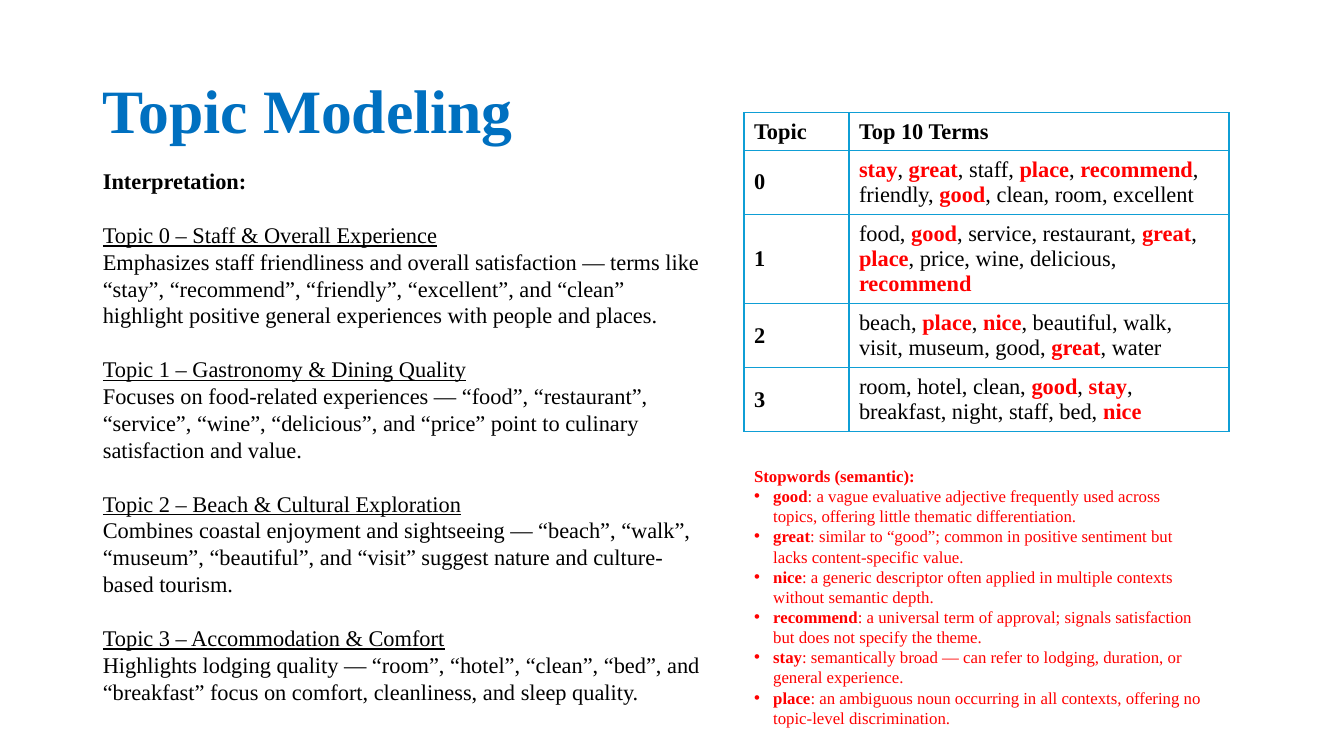
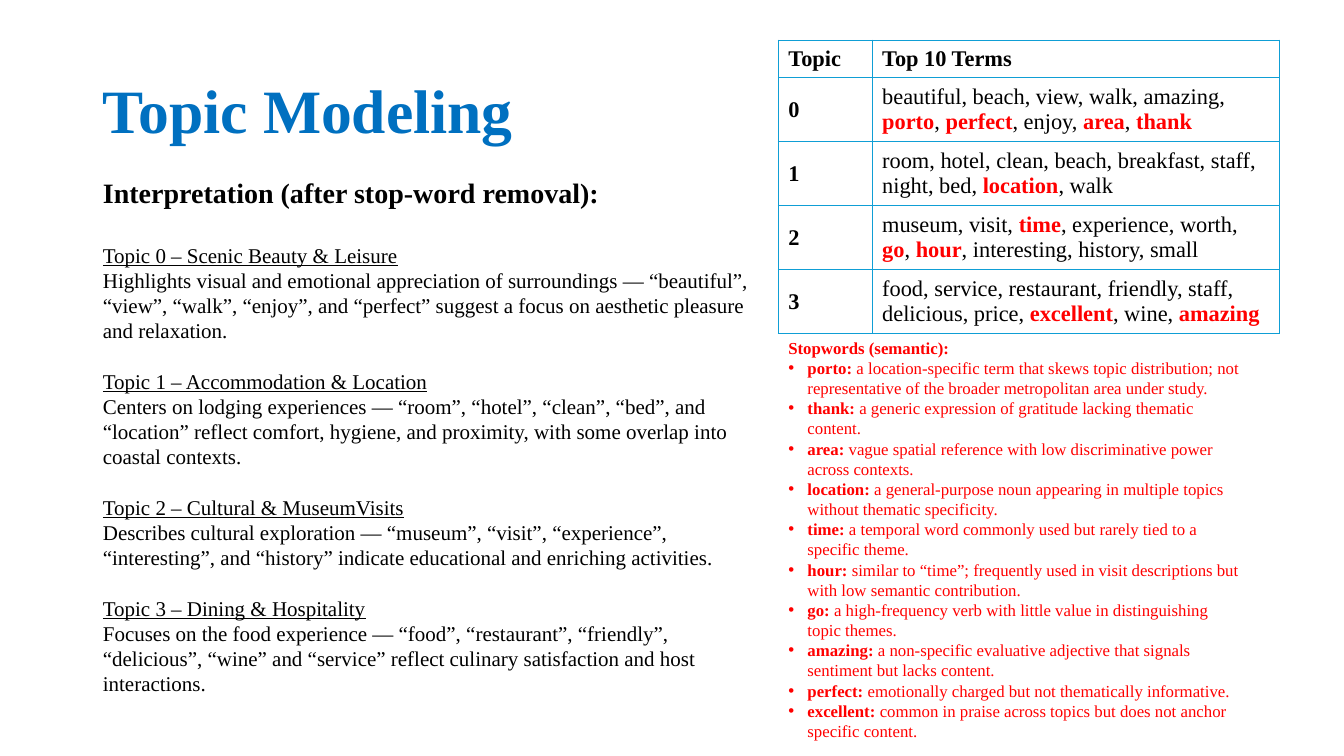
"""Build two slides on topic modeling, before and after stop-word removal."""
import lxml.etree
import pptx
import pptx.dml.color
import pptx.enum.text
import pptx.oxml.ns
import pptx.util

Inches = pptx.util.Inches
Pt = pptx.util.Pt
ANCHOR = pptx.enum.text.MSO_ANCHOR
FONT = "Times New Roman"
BLUE, BLACK, RED, BORDER = "0070C0", "000000", "FF0000", "0F9ED5"
TITLE = "Topic Modeling"
TITLE_AREA = (0.92, 0.4, 11.5, 1.45)
TABLE_HEADER = ("Topic", "Top 10 Terms")
HEADER_HEIGHT, LINE_HEIGHT, ROW_PADDING = 0.37, 0.255, 0.125
INDENT = 0.19
LEADING = 1.2

SLIDES = [
    {
        "heading": "Interpretation:",
        "heading_size": 16,
        "topic_size": 16,
        "topics_area": (0.92, 1.58, 6.23, 5.49),
        "topics": [
            ("Topic 0 – Staff & Overall Experience",
             "Emphasizes staff friendliness and overall satisfaction — terms like “stay”, “recommend”, “friendly”, "
             "“excellent”, and “clean” highlight positive general experiences with people and places."),
            ("Topic 1 – Gastronomy & Dining Quality",
             "Focuses on food-related experiences — “food”, “restaurant”, “service”, “wine”, “delicious”, and "
             "“price” point to culinary satisfaction and value."),
            ("Topic 2 – Beach & Cultural Exploration",
             "Combines coastal enjoyment and sightseeing — “beach”, “walk”, “museum”, “beautiful”, and “visit” "
             "suggest nature and culture-based tourism."),
            ("Topic 3 – Accommodation & Comfort",
             "Highlights lodging quality — “room”, “hotel”, “clean”, “bed”, and “breakfast” focus on comfort, "
             "cleanliness, and sleep quality."),
        ],
        "table_corner": (7.38, 1.12),
        "columns": (1.04, 3.77),
        "terms": [
            (2, "*stay*, *great*, staff, *place*, *recommend*, friendly, *good*, clean, room, excellent"),
            (3, "food, *good*, service, restaurant, *great*, *place*, price, wine, delicious, *recommend*"),
            (2, "beach, *place*, *nice*, beautiful, walk, visit, museum, good, *great*, water"),
            (2, "room, hotel, clean, *good*, *stay*, breakfast, night, staff, bed, *nice*"),
        ],
        "stopwords_area": (7.38, 4.57, 4.68, 2.73),
        "stopwords": [
            "*good*: a vague evaluative adjective frequently used across topics, offering little thematic "
            "differentiation.",
            "*great*: similar to “good”; common in positive sentiment but lacks content-specific value.",
            "*nice*: a generic descriptor often applied in multiple contexts without semantic depth.",
            "*recommend*: a universal term of approval; signals satisfaction but does not specify the theme.",
            "*stay*: semantically broad — can refer to lodging, duration, or general experience.",
            "*place*: an ambiguous noun occurring in all contexts, offering no topic-level discrimination.",
        ],
    },
    {
        "heading": "Interpretation (after stop-word removal):",
        "heading_size": 20,
        "topic_size": 15,
        "topics_area": (0.92, 1.66, 6.81, 5.32),
        "topics": [
            ("Topic 0 – Scenic Beauty & Leisure",
             "Highlights visual and emotional appreciation of surroundings — “beautiful”, “view”, “walk”, “enjoy”, "
             "and “perfect” suggest a focus on aesthetic pleasure and relaxation."),
            ("Topic 1 – Accommodation & Location",
             "Centers on lodging experiences — “room”, “hotel”, “clean”, “bed”, and “location” reflect comfort, "
             "hygiene, and proximity, with some overlap into coastal contexts."),
            ("Topic 2 – Cultural & MuseumVisits",
             "Describes cultural exploration — “museum”, “visit”, “experience”, “interesting”, and “history” "
             "indicate educational and enriching activities."),
            ("Topic 3 – Dining & Hospitality",
             "Focuses on the food experience — “food”, “restaurant”, “friendly”, “delicious”, “wine” and “service” "
             "reflect culinary satisfaction and host interactions."),
        ],
        "table_corner": (7.72, 0.4),
        "columns": (0.93, 4.04),
        "terms": [
            (2, "beautiful, beach, view, walk, amazing, *porto*, *perfect*, enjoy, *area*, *thank*"),
            (2, "room, hotel, clean, beach, breakfast, staff, night, bed, *location*, walk"),
            (2, "museum, visit, *time*, experience, worth, *go*, *hour*, interesting, history, small"),
            (2, "food, service, restaurant, friendly, staff, delicious, price, *excellent*, wine, *amazing*"),
        ],
        "stopwords_area": (7.72, 3.3, 4.68, 4.14),
        "stopwords": [
            "*porto:* a location-specific term that skews topic distribution; not representative of the broader "
            "metropolitan area under study.",
            "*thank:* a generic expression of gratitude lacking thematic content.",
            "*area:* vague spatial reference with low discriminative power across contexts.",
            "*location:* a general-purpose noun appearing in multiple topics without thematic specificity.",
            "*time:* a temporal word commonly used but rarely tied to a specific theme.",
            "*hour:* similar to “time”; frequently used in visit descriptions but with low semantic contribution.",
            "*go:* a high-frequency verb with little value in distinguishing topic themes.",
            "*amazing:* a non-specific evaluative adjective that signals sentiment but lacks content.",
            "*perfect:* emotionally charged but not thematically informative.",
            "*excellent:* common in praise across topics but does not anchor specific content.",
        ],
    },
]


def rgb(hex_code):
    """Turn a hex string into a colour."""
    return pptx.dml.color.RGBColor.from_string(hex_code)


def add_xml(parent, tag, **attributes):
    """Append a drawing element to a parent."""
    return lxml.etree.SubElement(parent, pptx.oxml.ns.qn(tag), attributes)


def write(paragraph, text, size, colour=BLACK, bold=None, underline=None, gap=0, spacing=1.0, marked=None):
    """Fill a paragraph; words between asterisks are bold, in the marked colour if given."""
    paragraph.space_before = Pt(gap)
    paragraph.line_spacing = spacing
    font = paragraph.font
    font.name, font.size, font.bold, font.underline = FONT, Pt(size), bold, underline
    font.color.rgb = rgb(colour)
    for position, part in enumerate(text.split("*")):
        if part:
            run = paragraph.add_run()
            run.text = part
            if position % 2:
                run.font.bold = True
                if marked:
                    run.font.color.rgb = rgb(marked)


def set_bullet(paragraph, character=None):
    """Give a paragraph a hanging bullet, or none."""
    properties = paragraph._p.get_or_add_pPr()
    indent = Inches(INDENT) if character else 0
    properties.set("marL", str(indent))
    properties.set("indent", str(-indent))
    if character:
        add_xml(properties, "a:buFont", typeface="Arial")
        add_xml(properties, "a:buChar", char=character)
    else:
        add_xml(properties, "a:buNone")


def place(placeholder, area):
    """Move a placeholder and return its text frame, anchored in the middle."""
    placeholder.left, placeholder.top, placeholder.width, placeholder.height = map(Inches, area)
    frame = placeholder.text_frame
    frame.vertical_anchor = ANCHOR.MIDDLE
    frame.auto_size = pptx.enum.text.MSO_AUTO_SIZE.NONE
    return frame


def add_title(slide):
    """Write the shared title."""
    paragraph = place(slide.shapes.title, TITLE_AREA).paragraphs[0]
    paragraph.alignment = pptx.enum.text.PP_ALIGN.LEFT
    write(paragraph, TITLE, 44, BLUE, bold=True, spacing=0.9)


def add_topics(slide, content):
    """Write the heading and the reading of each topic in the body placeholder."""
    frame = place(slide.placeholders[1], content["topics_area"])
    heading_size, size = content["heading_size"], content["topic_size"]
    heading = frame.paragraphs[0]
    set_bullet(heading)
    write(heading, content["heading"], heading_size, bold=True)
    gap = heading_size * LEADING
    for name, reading in content["topics"]:
        for text, underline, before in ((name, True, gap), (reading, False, 0)):
            paragraph = frame.add_paragraph()
            set_bullet(paragraph)
            write(paragraph, text, size, underline=underline, gap=before)
        gap = size * LEADING


def frame_cell(cell):
    """Outline a cell and leave it unfilled."""
    properties = cell._tc.get_or_add_tcPr()
    for side in "LRTB":
        line = add_xml(properties, f"a:ln{side}", w=str(Pt(1)))
        add_xml(add_xml(line, "a:solidFill"), "a:srgbClr", val=BORDER)
    cell.fill.background()
    cell.vertical_anchor = ANCHOR.MIDDLE


def add_terms(slide, content):
    """Draw the table of top terms."""
    rows = [TABLE_HEADER] + [(str(topic), terms) for topic, (_, terms) in enumerate(content["terms"])]
    heights = [HEADER_HEIGHT] + [ROW_PADDING + lines * LINE_HEIGHT for lines, _ in content["terms"]]
    columns = content["columns"]
    area = (*content["table_corner"], sum(columns), sum(heights))
    table = slide.shapes.add_table(len(rows), len(columns), *map(Inches, area)).table
    table.first_row = table.horz_banding = False
    for column, width in zip(table.columns, columns):
        column.width = Inches(width)
    for row_number, (row, height) in enumerate(zip(rows, heights)):
        table.rows[row_number].height = Inches(height)
        for column_number, text in enumerate(row):
            cell = table.cell(row_number, column_number)
            frame_cell(cell)
            bold = row_number == 0 or column_number == 0
            write(cell.text_frame.paragraphs[0], text, 16, bold=bold, marked=RED)


def add_stopwords(slide, content):
    """List the semantic stopwords with the reason for each."""
    frame = slide.shapes.add_textbox(*map(Inches, content["stopwords_area"])).text_frame
    frame.word_wrap = True
    write(frame.paragraphs[0], "Stopwords (semantic):", 12, RED, bold=True)
    for reason in content["stopwords"]:
        paragraph = frame.add_paragraph()
        set_bullet(paragraph, "•")
        write(paragraph, reason, 12, RED)


def main():
    """Build and save the slides."""
    presentation = pptx.Presentation()
    presentation.slide_width, presentation.slide_height = Inches(13.33), Inches(7.5)
    for content in SLIDES:
        slide = presentation.slides.add_slide(presentation.slide_layouts[1])
        add_title(slide)
        add_topics(slide, content)
        add_terms(slide, content)
        add_stopwords(slide, content)
    presentation.save("out.pptx")


if __name__ == "__main__":
    main()
